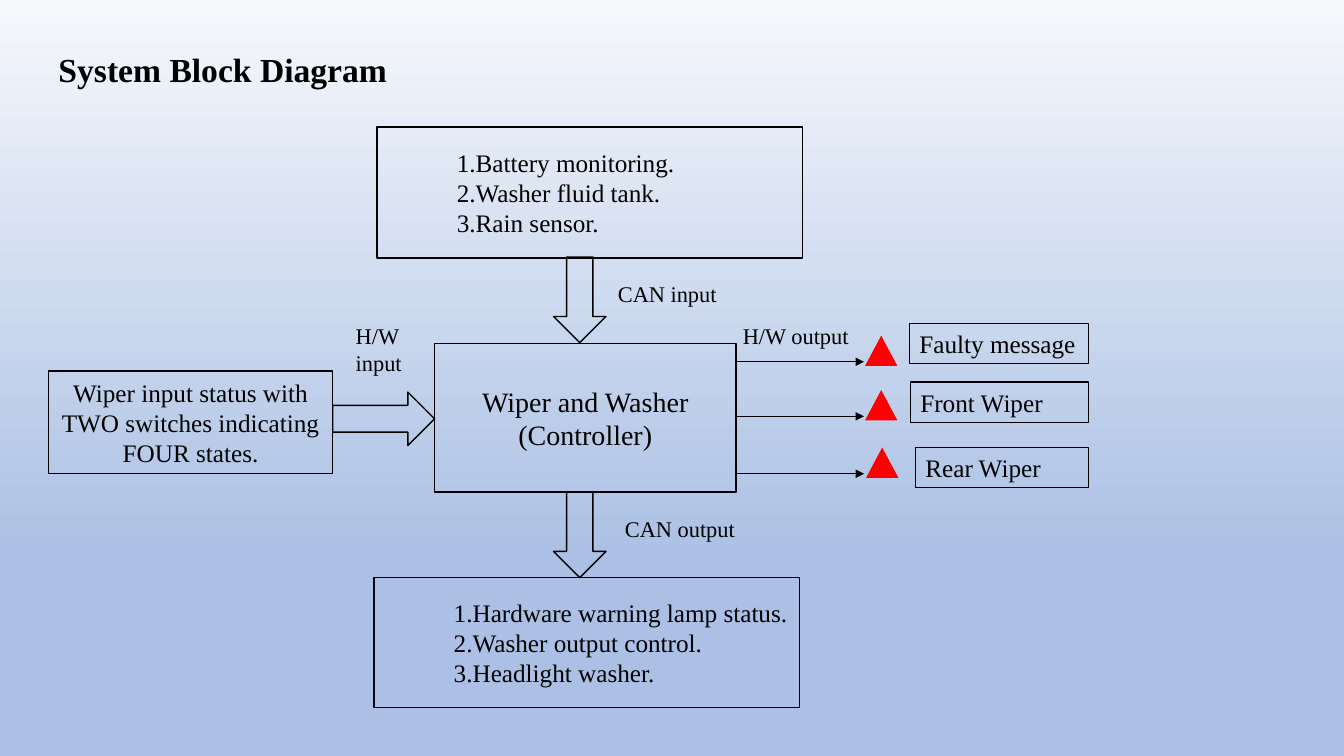
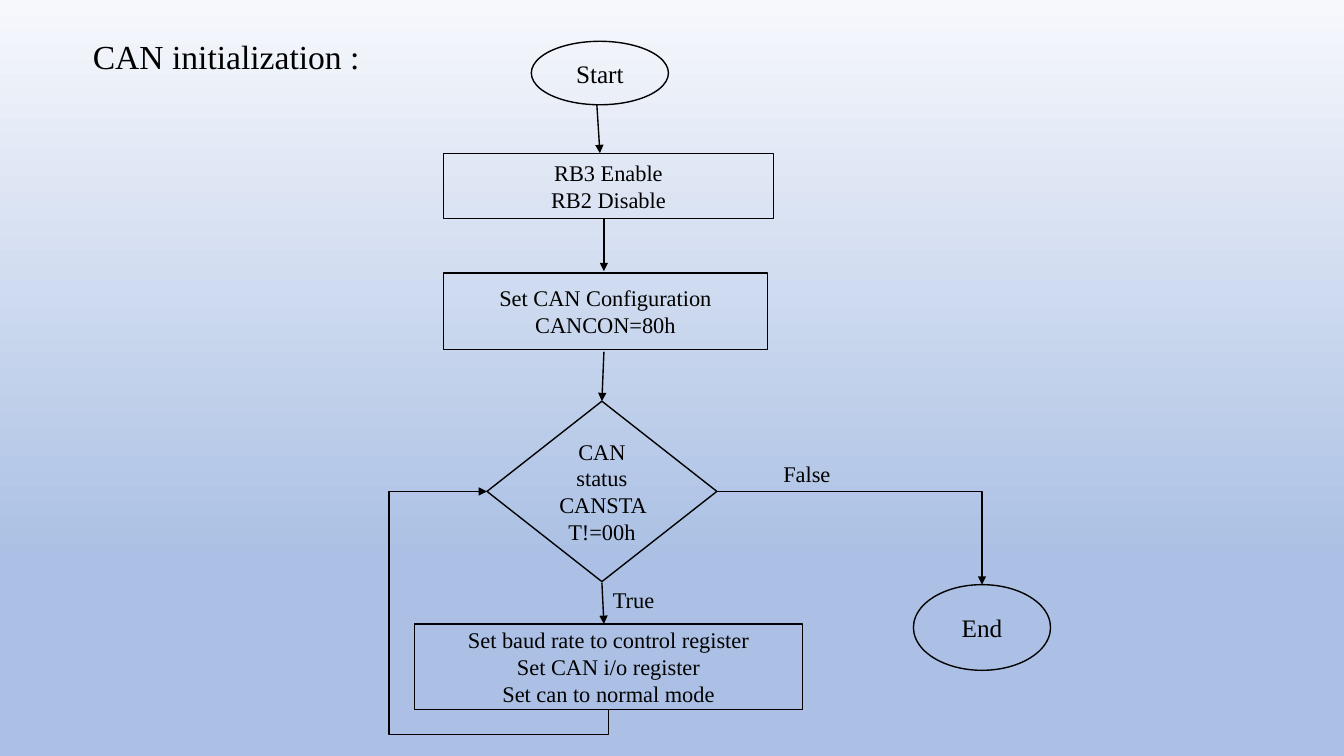
from lxml import etree
from pptx import Presentation, util as u
from pptx.dml.color import RGBColor
from pptx.enum import shapes, text
from pptx.oxml import ns

BLACK = RGBColor(0x00, 0x00, 0x00)
RED = RGBColor(0xFF, 0x00, 0x00)
SKY = ((0, "F6F8FC"), (74, "ABC0E4"), (100, "ABC0E4"), (100, "C7D5ED"))
FONT = "Times New Roman"
WIDTH, HEIGHT = 13.33, 7.5
KIND = shapes.MSO_SHAPE
CENTER, LEFT = text.PP_ALIGN.CENTER, text.PP_ALIGN.LEFT
MIDDLE, TOP = text.MSO_ANCHOR.MIDDLE, text.MSO_ANCHOR.TOP
LIST_INSET = 0.79

DIAGRAM_TITLE = ("System Block Diagram", (0.48, 0.31, 3.74, 0.8), True)
CONTROLLER = (4.31, 3.41, 2.99, 1.47)
CONTROLLER_LINES = ["Wiper and Washer", "(Controller)"]
CAN_LISTS = [
    ((3.74, 1.26, 4.22, 1.3),
     ["1.Battery monitoring.", "2.Washer fluid tank.", "3.Rain sensor."]),
    ((3.71, 5.73, 4.22, 1.29),
     ["1.Hardware warning lamp status.", "2.Washer output control.",
      "3.Headlight washer."]),
]
SWITCHES = (0.48, 3.68, 2.82, 1.02)
SWITCHES_LINES = ["Wiper input status with TWO switches indicating FOUR states."]
OUTPUTS = [
    ("Faulty message", 3.59, 8.58, 9.02, 3.21),
    ("Front Wiper", 4.13, 8.58, 9.03, 3.79),
    ("Rear Wiper", 4.7, 8.59, 9.08, 4.44),
]
OUTPUT_ARROW_END, OUTPUT_RIGHT = 8.57, 10.8
SIGNAL_LABELS = [
    ("CAN input", (6.03, 2.73, 1.52, 0.37)),
    ("CAN output", (6.1, 5.06, 1.52, 0.37)),
    ("H/W output", (7.27, 3.15, 1.3, 0.37)),
    ("H/W input", (3.43, 3.15, 0.79, 0.64)),
]

FLOW_TITLE = ("CAN initialization :", (0.82, 0.26, 3.29, 0.65), False)
FLOW_STEPS = {
    "start": (KIND.OVAL, (5.27, 0.41, 1.36, 0.63), ["Start"], 18),
    "pins": (KIND.RECTANGLE, (4.4, 1.52, 3.27, 0.65),
             ["RB3 Enable", "RB2 Disable"], 16),
    "config": (KIND.RECTANGLE, (4.4, 2.71, 3.21, 0.76),
               ["Set CAN Configuration", "CANCON=80h"], 16),
    "status": (KIND.DIAMOND, (4.83, 3.98, 2.28, 1.79),
               ["CAN status", "CANSTAT!=00h"], 16),
    "baud": (KIND.RECTANGLE, (4.11, 6.19, 3.85, 0.85),
             ["Set baud rate to control register", "Set CAN i/o register",
              "Set can to normal mode"], 16),
    "end": (KIND.OVAL, (9.06, 5.8, 1.36, 0.85), ["End"], 18),
}
FLOW_ARROWS = [
    ((5.92, 1.04), (5.95, 1.52)),
    ((5.99, 2.17), (5.99, 2.69)),
    ((5.99, 3.49), (5.97, 3.98)),
    ((5.97, 5.78), (5.99, 6.19)),
]
BRANCH_LABELS = [("True", (5.98, 5.77, 1.21, 0.37)),
                 ("False", (7.67, 4.52, 1.21, 0.37))]
LOOP_DROP, LOOP_LEFT = 0.25, 3.86


def inches(values):
    return [u.Inches(value) for value in values]


def write(frame, lines, size, align=LEFT, anchor=TOP, bold=False):
    frame.word_wrap = True
    frame.vertical_anchor = anchor
    frame.text = "\n".join(lines)
    for paragraph in frame.paragraphs:
        paragraph.alignment = align
        paragraph.font.name = FONT
        paragraph.font.size = u.Pt(size)
        paragraph.font.bold = bold
        paragraph.font.color.rgb = BLACK


def add_page(title, area, bold):
    page = deck.slides.add_slide(deck.slide_layouts[5])
    heading = page.shapes.title
    heading.left, heading.top, heading.width, heading.height = inches(area)
    write(heading.text_frame, [title], 24, anchor=MIDDLE, bold=bold)
    heading.text_frame.auto_size = text.MSO_AUTO_SIZE.NONE
    heading.text_frame.paragraphs[0].line_spacing = 0.9
    return page


def add_block(page, kind, area, lines=(), size=18, align=CENTER, weight=1.0):
    block = page.shapes.add_shape(kind, *inches(area))
    block.shadow.inherit = False
    block.fill.background()
    block.line.color.rgb = BLACK
    block.line.width = u.Pt(weight)
    if lines:
        write(block.text_frame, lines, size, align, MIDDLE)
    return block


def add_label(page, words, area):
    write(page.shapes.add_textbox(*inches(area)).text_frame, [words], 16)


def add_arrow(page, start, end, weight=1.0, kind=shapes.MSO_CONNECTOR.STRAIGHT):
    arrow = page.shapes.add_connector(kind, *inches(start + end))
    arrow.line.color.rgb = BLACK
    arrow.line.width = u.Pt(weight)
    etree.SubElement(arrow.line._get_or_add_ln(), ns.qn("a:tailEnd"), type="triangle")
    etree.SubElement(arrow.element.spPr, ns.qn("a:effectLst"))
    return arrow


def bend(arrow, preset, adjustments=()):
    geometry = arrow.element.spPr.find(ns.qn("a:prstGeom"))
    geometry.set("prst", preset)
    guides = geometry.find(ns.qn("a:avLst"))
    for number, share in enumerate(adjustments, 1):
        etree.SubElement(guides, ns.qn("a:gd"), name=f"adj{number}",
                         fmla=f"val {round(share * 100000)}")


def paint_background(master):
    fill = master.background.fill
    fill.gradient()
    fill.gradient_angle = 270
    stops = next(master.element.iter(ns.qn("a:gsLst")))
    for stop in list(stops):
        stops.remove(stop)
    for percent, color in SKY:
        stop = etree.SubElement(stops, ns.qn("a:gs"), pos=str(percent * 1000))
        etree.SubElement(stop, ns.qn("a:srgbClr"), val=color)


def build_diagram():
    page = add_page(*DIAGRAM_TITLE)
    left, top, width, height = CONTROLLER
    right, bottom = left + width, top + height
    add_block(page, KIND.RECTANGLE, CONTROLLER, CONTROLLER_LINES, 20)
    for area, lines in CAN_LISTS:
        block = add_block(page, KIND.RECTANGLE, area, lines, align=LEFT)
        block.text_frame.margin_left = u.Inches(LIST_INSET)
        block.text_frame.margin_right = 0
    add_block(page, KIND.RECTANGLE, SWITCHES, SWITCHES_LINES)
    for arrow_top in (2.55, bottom):
        add_block(page, KIND.DOWN_ARROW, (5.49, arrow_top, 0.52, 0.85))
    inlet = SWITCHES[0] + SWITCHES[2]
    add_block(page, KIND.RIGHT_ARROW, (inlet, 3.89, left - inlet, 0.53))
    for name, row, lamp_left, name_left, name_top in OUTPUTS:
        add_arrow(page, (right, row), (OUTPUT_ARROW_END, row), 0.5)
        lamp = add_block(page, KIND.ISOSCELES_TRIANGLE,
                         (lamp_left, row - 0.26, 0.32, 0.3))
        lamp.fill.solid()
        lamp.fill.fore_color.rgb = RED
        lamp.line.fill.background()
        add_block(page, KIND.RECTANGLE,
                  (name_left, name_top, OUTPUT_RIGHT - name_left, 0.4),
                  [name], align=LEFT, weight=0.75)
    for label in SIGNAL_LABELS:
        add_label(page, *label)


def build_flow():
    page = add_page(*FLOW_TITLE)
    steps = {key: add_block(page, *step) for key, step in FLOW_STEPS.items()}
    for start, end in FLOW_ARROWS:
        add_arrow(page, start, end)
    for label in BRANCH_LABELS:
        add_label(page, *label)

    elbow = shapes.MSO_CONNECTOR.ELBOW
    left, top, width, height = FLOW_STEPS["status"][1]
    row = top + height / 2
    end_left, end_top, end_width, _ = FLOW_STEPS["end"][1]
    leave = add_arrow(page, (left + width, row),
                      (end_left + end_width / 2, end_top), kind=elbow)
    leave.begin_connect(steps["status"], 3)
    leave.end_connect(steps["end"], 0)
    bend(leave, "bentConnector2")

    baud_left, baud_top, baud_width, baud_height = FLOW_STEPS["baud"][1]
    column, floor = baud_left + baud_width / 2, baud_top + baud_height
    rise, run = floor - row, column - left
    repeat = add_arrow(page, (column, floor), (left, row), kind=elbow)
    repeat.begin_connect(steps["baud"], 2)
    repeat.end_connect(steps["status"], 1)
    bend(repeat, "bentConnector4", (-LOOP_DROP / rise, (column - LOOP_LEFT) / run))
    frame = repeat.element.spPr.find(ns.qn("a:xfrm"))
    frame.attrib.clear()
    frame.set("rot", str(90 * 60000))
    frame.set("flipH", "1")
    repeat.left, repeat.top, repeat.width, repeat.height = inches(
        ((left + column - rise) / 2, (row + floor - run) / 2, rise, run))


deck = Presentation()
deck.slide_width, deck.slide_height = inches((WIDTH, HEIGHT))
paint_background(deck.slide_master)
build_diagram()
build_flow()
deck.save("out.pptx")
